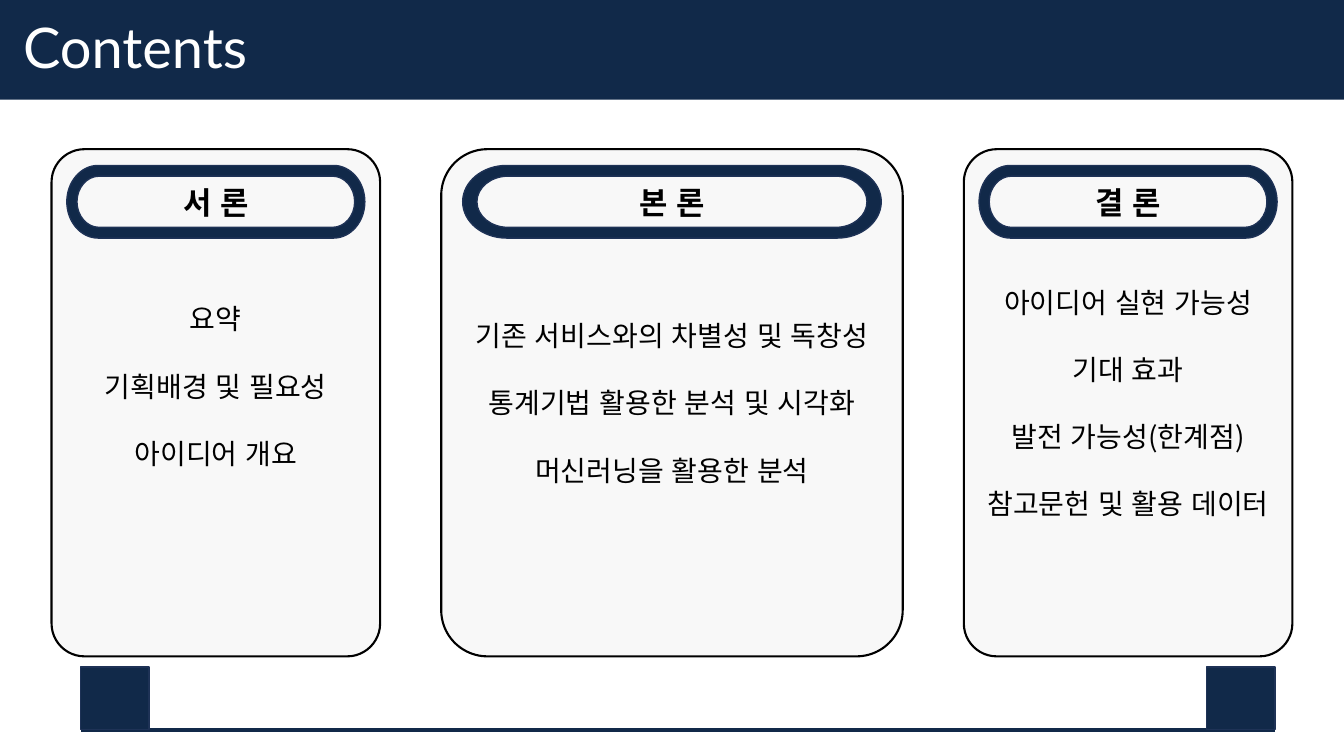
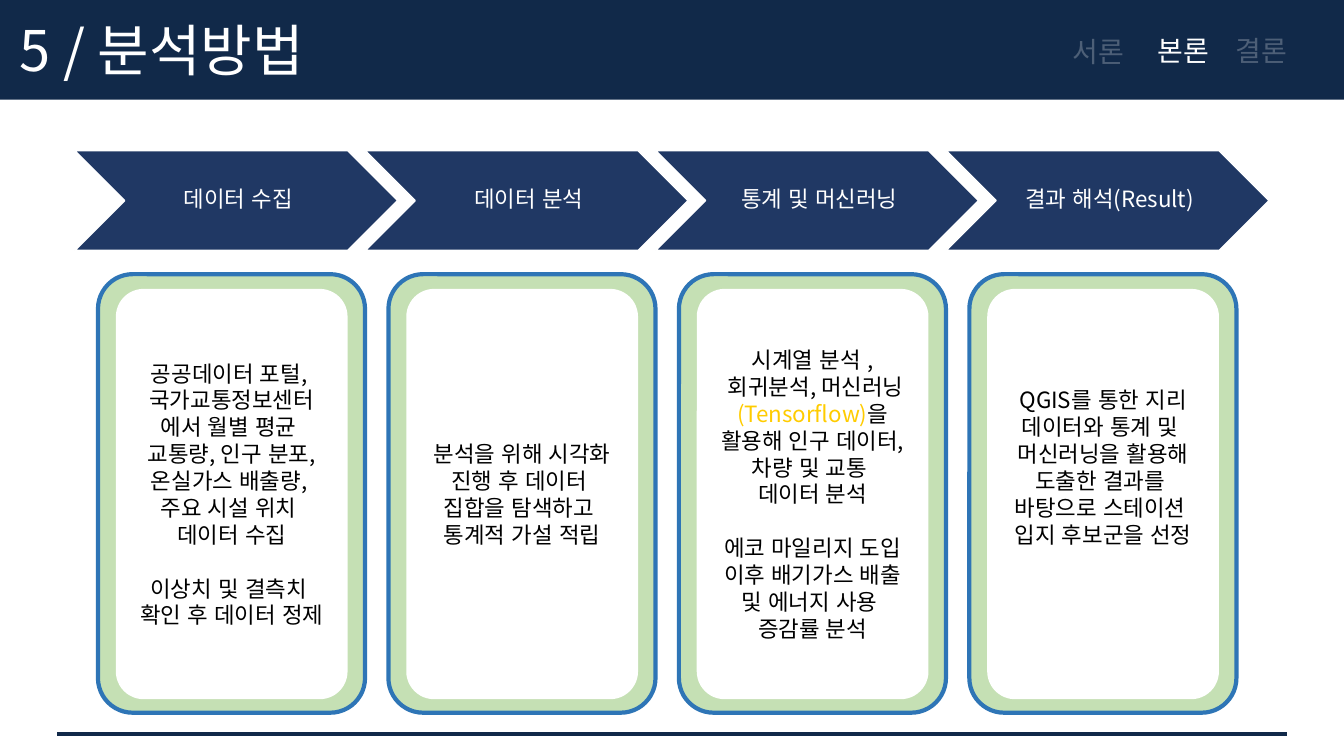
from lxml import etree
from pptx import Presentation
from pptx.dml.color import RGBColor
from pptx.enum.lang import MSO_LANGUAGE_ID
from pptx.enum.shapes import MSO_CONNECTOR, MSO_SHAPE
from pptx.enum.text import MSO_ANCHOR, PP_ALIGN
from pptx.oxml.ns import qn
from pptx.util import Cm, Pt

NAVY, NAVY_LINE, CHEVRON_BLUE = "112949", "1E3256", "203864"
WHITE, BLACK, CARD_GREY, FADED = "FFFFFF", "000000", "F8F8F8", "4D5F77"
GREEN, BLUE, YELLOW = "C5E0B4", "2E75B6", "FFCC00"
KOREAN, LATIN = "Noto Sans CJK KR", "Lato"


def paint(sp, fill, line=None, width=1):
    sp.shadow.inherit = False
    sp.fill.solid()
    sp.fill.fore_color.rgb = RGBColor.from_string(fill)
    if line:
        sp.line.color.rgb = RGBColor.from_string(line)
        sp.line.width = Pt(width)
    else:
        sp.line.fill.background()
    return sp


def write(sp, blocks, size, color, font=KOREAN, bold=False, gap=0):
    """Write blocks of lines, gap points apart; text between bars is yellow."""
    tf = sp.text_frame
    tf.vertical_anchor = MSO_ANCHOR.MIDDLE
    p = None
    for block in blocks:
        for i, line in enumerate(block):
            if p is None:
                p = tf.paragraphs[0]
            else:
                p = tf.add_paragraph()
                if i == 0:
                    p.space_before = Pt(gap)
            p.alignment = PP_ALIGN.CENTER
            for j, part in enumerate(line.split("|")):
                r = p.add_run()
                r.text = part
                r.font.size, r.font.bold, r.font.name = Pt(size), bold, font
                r.font.language_id = MSO_LANGUAGE_ID.KOREAN
                r.font.color.rgb = RGBColor.from_string(YELLOW if j % 2 else color)
                ea = etree.SubElement(r._r.get_or_add_rPr(), qn("a:ea"))
                ea.set("typeface", font)
    return tf


prs = Presentation()
prs.slide_width, prs.slide_height = Cm(33.87), Cm(19.05)

# Shared band, title and bottom rule: title, font, left, top, width; rule from, to, y, weight
FRAMES = [
    ("Contents", LATIN, 0, 0.18, 6.81, 2.03, 32.13, 18.39, 2.75),
    ("5 / 분석방법", KOREAN, 0.04, 0.27, 8.08, 1.44, 32.44, 18.49, 3),
]
for title, font, left, top, width, x1, x2, y, weight in FRAMES:
    s = prs.slides.add_slide(prs.slide_layouts[6])
    band = s.shapes.add_shape(MSO_SHAPE.RECTANGLE, 0, 0, prs.slide_width, Cm(2.51))
    paint(band, NAVY)
    box = s.shapes.add_textbox(Cm(left), Cm(top), Cm(width), Cm(1.96))
    write(box, [[title]], 40, WHITE, font).word_wrap = False
    rule = s.shapes.add_connector(MSO_CONNECTOR.STRAIGHT, Cm(x1), Cm(y), Cm(x2), Cm(y))
    rule.line.color.rgb = RGBColor.from_string(NAVY)
    rule.line.width = Pt(weight)
    etree.SubElement(rule._element.spPr, qn("a:effectLst"))
contents, method = prs.slides

# Contents: three cards, each with a ring-shaped heading
CARDS = [
    ("서 론", 8.28, 24, ["요약", "기획배경 및 필요성", "아이디어 개요"]),
    ("본 론", 11.63, 0, ["기존 서비스와의 차별성 및 독창성",
                       "통계기법 활용한 분석 및 시각화", "머신러닝을 활용한 분석"]),
    ("결 론", 8.28, 0, ["아이디어 실현 가능성", "기대 효과",
                      "발전 가능성(한계점)", "참고문헌 및 활용 데이터"]),
]
CARD_GAP, RING_TOP, RING_HEIGHT = 1.54, 4.17, 1.83
BEND = 0.55  # control length of a quarter ellipse
left = 1.3
for heading, width, raised, items in CARDS:
    card = contents.shapes.add_shape(
        MSO_SHAPE.ROUNDED_RECTANGLE, Cm(left), Cm(3.76), Cm(width), Cm(12.78))
    card.adjustments[0] = 0.1
    paint(card, CARD_GREY, BLACK, 1.5)
    tf = write(card, [[item] for item in items], 20, BLACK, gap=24)
    tf.margin_bottom += Pt(raised)

    ring_width = 0.907 * width
    x, y = left + (width - ring_width) / 2, RING_TOP
    fb = contents.shapes.build_freeform(Cm(x), Cm(y))
    fb.add_line_segments([(Cm(x + ring_width), Cm(y)),
                          (Cm(x + ring_width), Cm(y + RING_HEIGHT)),
                          (Cm(x), Cm(y + RING_HEIGHT))])
    ring = paint(fb.convert_to_shape(), NAVY, NAVY_LINE)
    path = ring._element.spPr.find(".//" + qn("a:path"))
    for step in list(path):
        path.remove(step)
    # The hole is drawn in the opposite direction to the outer edge
    for way, inset_x, inset_y, corner in ((1, 0, 0, 0.105), (-1, 0.034, 0.27, 0.074)):
        rx, ry = way * corner * ring_width, RING_HEIGHT / 2 - inset_y
        end = way * ring_width * (0.5 - inset_x)
        flat = end - rx
        bx, by = flat + BEND * rx, BEND * ry
        steps = [
            ("moveTo", [(-flat, -ry)]),
            ("lnTo", [(flat, -ry)]),
            ("cubicBezTo", [(bx, -ry), (end, -by), (end, 0)]),
            ("cubicBezTo", [(end, by), (bx, ry), (flat, ry)]),
            ("lnTo", [(-flat, ry)]),
            ("cubicBezTo", [(-bx, ry), (-end, by), (-end, 0)]),
            ("cubicBezTo", [(-end, -by), (-bx, -ry), (-flat, -ry)]),
            ("close", []),
        ]
        for name, points in steps:
            step = etree.SubElement(path, qn("a:" + name))
            for px, py in points:
                pt = etree.SubElement(step, qn("a:pt"))
                pt.set("x", str(int(Cm(ring_width / 2 + px))))
                pt.set("y", str(int(Cm(RING_HEIGHT / 2 + py))))
    write(ring, [[heading]], 22, BLACK, bold=True)
    left += width + CARD_GAP

for x in (2.03, 30.4):
    foot = contents.shapes.add_shape(
        MSO_SHAPE.RECTANGLE, Cm(x), Cm(16.81), Cm(1.73), Cm(1.57))
    paint(foot, NAVY, NAVY_LINE)

# Method: section tabs in the band
for label, x, y, color in (("서론", 26.45, 0.73, FADED), ("본론", 28.6, 0.7, WHITE),
                           ("결론", 30.56, 0.7, FADED)):
    tab = method.shapes.add_textbox(Cm(x), Cm(y), Cm(2.46), Cm(1.12))
    write(tab, [[label]], 20, color).word_wrap = True

# Method: four steps, each an arrow above a framed panel
STEPS = [
    ("데이터 수집", 0, [
        ["공공데이터 포털, ", "국가교통정보센터", "에서 월별 평균 ",
         "교통량, 인구 분포, 온실가스 배출량, ", "주요 시설 위치 ", "데이터 수집"],
        ["이상치 및 결측치 ", "확인 후 데이터 정제"]]),
    ("데이터 분석", 0, [
        ["분석을 위해 시각화 진행 후 데이터 ", "집합을 탐색하고 ", "통계적 가설 적립"]]),
    ("통계 및 머신러닝", 0, [
        ["시계열 분석 ,", " 회귀분석, 머신러닝|(Tensorflow)|을",
         "활용해 인구 데이터, 차량 및 교통 ", "데이터 분석"],
        ["에코 마일리지 도입 이후 배기가스 배출 및 에너지 사용 ", "증감률 분석"]]),
    ("결과 해석(Result)", 38.4, [
        ["QGIS를 통한 지리 데이터와 통계 및 ", "머신러닝을 활용해 도출한 결과를 ",
         "바탕으로 스테이션 ", "입지 후보군을 선정"]]),
]
STEP_PITCH = 7.32
for i, (heading, raised, blocks) in enumerate(STEPS):
    x = 1.89 + i * STEP_PITCH
    arrow = method.shapes.add_shape(
        MSO_SHAPE.CHEVRON, Cm(x), Cm(3.8), Cm(8.13), Cm(2.51))
    paint(arrow, CHEVRON_BLUE, WHITE)
    tf = write(arrow, [[heading]], 16, WHITE)
    tf.paragraphs[0].line_spacing = 0.9
    tf.margin_left, tf.margin_right = Cm(0.15), Cm(0.05)
    tf.margin_top = tf.margin_bottom = Cm(0.05)

    frame = method.shapes.add_shape(
        MSO_SHAPE.ROUNDED_RECTANGLE, Cm(x + 0.58), Cm(6.91), Cm(6.73), Cm(11.05))
    frame.adjustments[0] = 0.13
    paint(frame, GREEN, BLUE, 3)
    panel = method.shapes.add_shape(
        MSO_SHAPE.ROUNDED_RECTANGLE, Cm(x + 1.03), Cm(7.28), Cm(5.84), Cm(10.34))
    panel.adjustments[0] = 0.12
    paint(panel, WHITE)
    tf = write(panel, blocks, 16, BLACK, gap=19.2)
    tf.margin_bottom += Pt(raised)

prs.save("out.pptx")
